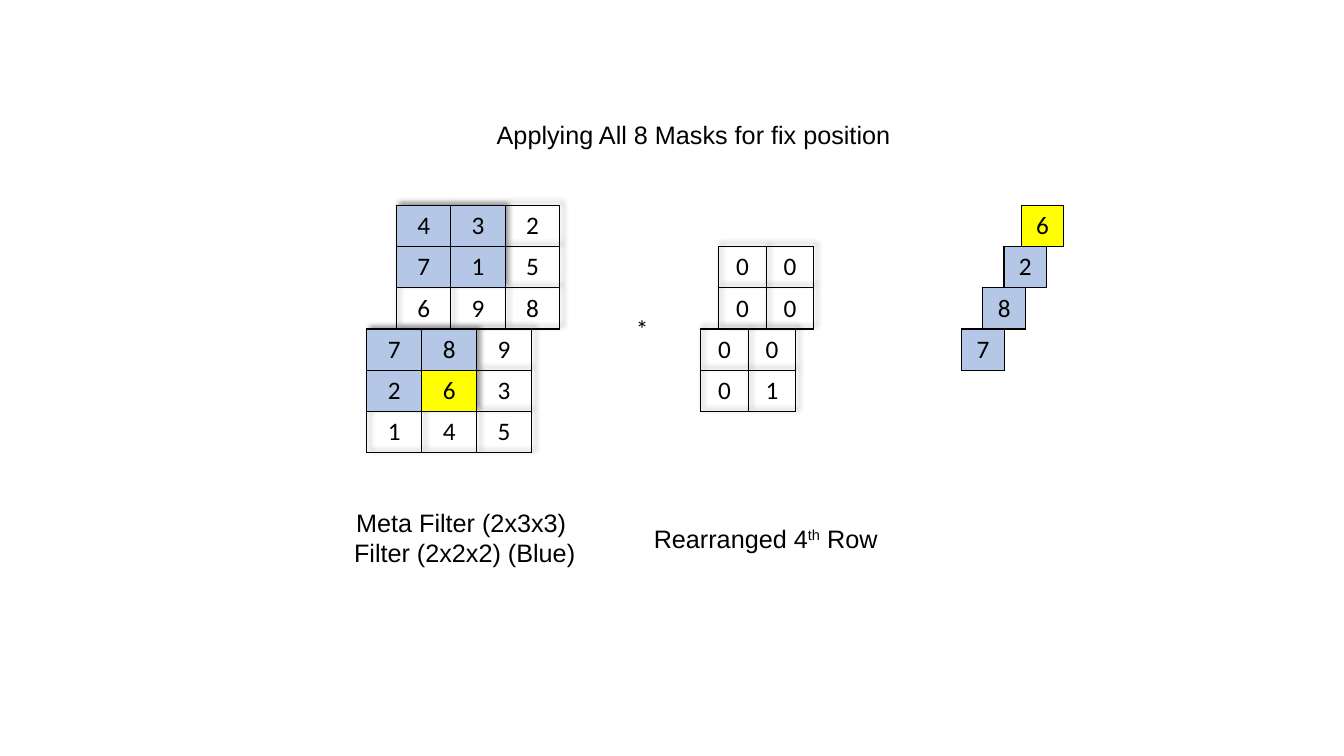
from dataclasses import dataclass

from lxml import etree
from pptx import Presentation
from pptx.dml.color import RGBColor as Rgb
from pptx.enum.text import MSO_ANCHOR as Anchor, MSO_AUTO_SIZE as AutoSize, PP_ALIGN as Align
from pptx.oxml import parse_xml
from pptx.oxml.ns import nsdecls, qn
from pptx.util import Inches, Pt


@dataclass(frozen=True)
class Theme:
    ink: str = "000000"
    blue: str = "B4C7E7"
    yellow: str = "FFFF00"
    caption_font: str = "Arial"
    digit_font: str = "Calibri"
    size: int = 18
    border: int = 1


THEME = Theme()
WIDTH, HEIGHT = Inches(13.33), Inches(7.5)
ROW = Inches(2.04) // 5
GRID_STYLE = "{5940675A-B579-460E-94D1-54222C63F5DA}"
FILLS = {"b": THEME.blue, "y": THEME.yellow}

MATRICES = [
    (27.3, 8, 4.08, ["789", "263", "145"], ["bb.", "by.", "..."]),
    (29.5, 5, 4.05, ["432", "715", "698"], ["bb.", "bb.", "..."]),
    (52.13, 8, 3.54, ["00", "01"], ["..", ".."]),
    (53.48, 6, 3.54, ["00", "00"], ["..", ".."]),
]
RESULTS = [(74.7, 6, "2", "b"), (75.98, 5, "6", "y"), (71.55, 8, "7", "b"), (73.13, 7, "8", "b")]
RESULT_WIDTH = 3.18

TITLE_AREA = (31.13, 15.07, 40.95, 5.33)
CAPTIONS = [
    ((46.58, 40.8, 1.88, 5.33), [[("*", False)]], THEME.digit_font, Align.LEFT),
    ((21.08, 66.4, 26.48, 9.47),
     [[("Meta Filter (2x3x3)", False)], [(" Filter (2x2x2) (Blue)", False)]],
     THEME.caption_font, Align.CENTER),
    ((43.73, 68.53, 26.48, 5.33),
     [[("Rearranged 4", False), ("th", True), (" Row", False)]],
     THEME.caption_font, Align.CENTER),
]


def across(percent):
    return round(WIDTH * percent / 100)


def down(percent):
    return round(HEIGHT * percent / 100)


def apply(target, formats):
    for name, value in formats.items():
        setattr(target, name, value)


def area_lengths(area):
    left, top, width, height = area
    return across(left), down(top), across(width), down(height)


def write_line(paragraph, pieces, font_name, align):
    paragraph.alignment = align
    for wording, raised in pieces:
        run = paragraph.add_run()
        run.text = wording
        apply(run.font, {"name": font_name, "size": Pt(THEME.size), "bold": False})
        run.font.color.rgb = Rgb.from_string(THEME.ink)
        if raised:
            run._r.get_or_add_rPr().set("baseline", "30000")


def write_lines(frame, lines, font_name, align):
    apply(frame, {"word_wrap": True, "auto_size": AutoSize.NONE, "vertical_anchor": Anchor.TOP})
    for index, pieces in enumerate(lines):
        paragraph = frame.add_paragraph() if index else frame.paragraphs[0]
        write_line(paragraph, pieces, font_name, align)


def add_title(slide):
    title = slide.shapes.title
    apply(title, dict(zip(("left", "top", "width", "height"), area_lengths(TITLE_AREA))))
    heading = [[("Applying All 8 Masks for fix position", False)]]
    write_lines(title.text_frame, heading, THEME.caption_font, Align.CENTER)


def add_caption(slide, area, lines, font_name, align):
    caption = slide.shapes.add_textbox(*area_lengths(area))
    write_lines(caption.text_frame, lines, font_name, align)


def outline_cell(cell):
    properties = cell._tc.get_or_add_tcPr()
    for position, side in enumerate(("lnL", "lnR", "lnT", "lnB")):
        properties.insert(position, parse_xml(
            f'<a:{side} {nsdecls("a")} w="{Pt(THEME.border)}"><a:solidFill>'
            f'<a:srgbClr val="{THEME.ink}"/></a:solidFill></a:{side}>'))


def add_table_shadow(properties):
    effects = etree.Element(qn("a:effectLst"))
    shadow = etree.SubElement(effects, qn("a:outerShdw"), blurRad="50800", dist="38100",
                              dir="18900000", algn="bl", rotWithShape="0")
    tint = etree.SubElement(shadow, qn("a:prstClr"), val="black")
    etree.SubElement(tint, qn("a:alpha"), val="40000")
    properties.insert(0, effects)


def format_cell(cell, digit, mark):
    if mark in FILLS:
        cell.fill.solid()
        cell.fill.fore_color.rgb = Rgb.from_string(FILLS[mark])
    else:
        cell.fill.background()
    apply(cell, {"vertical_anchor": Anchor.MIDDLE, "margin_top": Inches(0.03),
                 "margin_bottom": Inches(0.03)})
    write_line(cell.text_frame.paragraphs[0], [(digit, False)], THEME.digit_font, Align.CENTER)
    outline_cell(cell)


def add_matrix(slide, left, top_row, column_share, digits, marks, shadowed=True):
    rows, columns = len(digits), len(digits[0])
    matrix = slide.shapes.add_table(rows, columns, across(left), ROW * top_row,
                                    across(column_share) * columns, ROW * rows).table
    apply(matrix, {"first_row": False, "horz_banding": False})
    properties = matrix._tbl.tblPr
    properties.find(qn("a:tableStyleId")).text = GRID_STYLE
    if shadowed:
        add_table_shadow(properties)
    for row, (digit_row, mark_row) in enumerate(zip(digits, marks)):
        for column, (digit, mark) in enumerate(zip(digit_row, mark_row)):
            format_cell(matrix.cell(row, column), digit, mark)


def main():
    deck = Presentation()
    apply(deck, {"slide_width": WIDTH, "slide_height": HEIGHT})
    slide = deck.slides.add_slide(deck.slide_layouts[5])
    add_title(slide)
    for matrix in MATRICES:
        add_matrix(slide, *matrix)
    for left, top_row, digit, mark in RESULTS:
        add_matrix(slide, left, top_row, RESULT_WIDTH, [digit], [mark], shadowed=False)
    for caption in CAPTIONS:
        add_caption(slide, *caption)
    deck.save("out.pptx")


if __name__ == "__main__":
    main()
